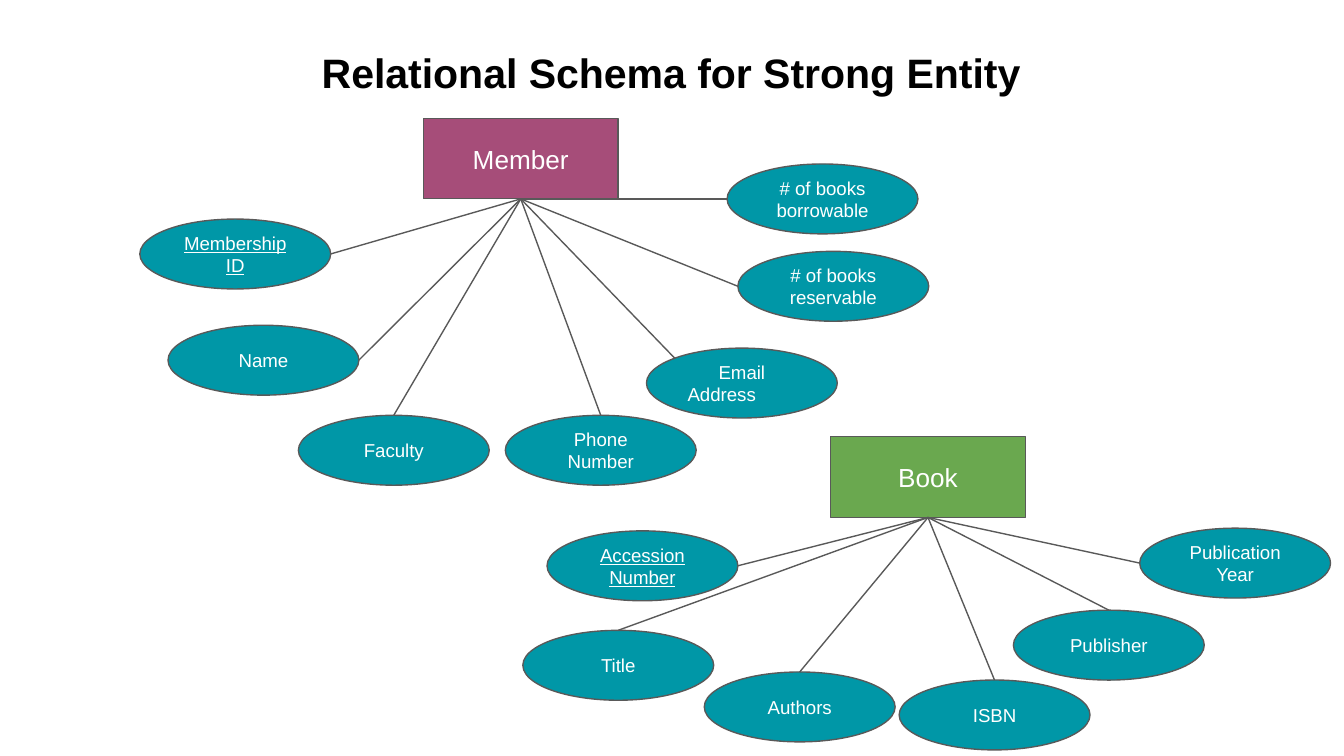
from lxml.etree import SubElement
from pptx import Presentation
from pptx.dml.color import RGBColor
from pptx.enum.shapes import MSO_CONNECTOR, MSO_SHAPE
from pptx.enum.text import MSO_ANCHOR, PP_ALIGN
from pptx.oxml.ns import qn
from pptx.util import Inches, Pt

BLACK = RGBColor(0x00, 0x00, 0x00)
WHITE = RGBColor(0xFF, 0xFF, 0xFF)
GRAY = RGBColor(0x59, 0x59, 0x59)
PLUM = RGBColor(0xA6, 0x4D, 0x79)
GREEN = RGBColor(0x6A, 0xA8, 0x4F)
TEAL = RGBColor(0x00, 0x97, 0xA7)

ENTITY_SIZE = (1.45, 0.6)
ATTRIBUTE_SIZE = (1.42, 0.52)
TOP, LEFT, RIGHT, TOP_LEFT = (0.5, 0), (0, 0.5), (1, 0.5), (0.15, 0.15)

MEMBER_ATTRIBUTES = [
    ("Membership ID", -2.11, 0.75, RIGHT, True),
    ("Name", -1.9, 1.54, RIGHT, False),
    ("Faculty", -0.93, 2.21, TOP, False),
    ("Phone Number", 0.61, 2.21, TOP, False),
    ("Email Address\t", 1.66, 1.71, TOP_LEFT, False),
    ("# of books\nreservable", 2.34, 0.99, LEFT, False),
    ("# of books\nborrowable", 2.26, 0.34, LEFT, False),
]
BOOK_ATTRIBUTES = [
    ("Accession\nNumber", -2.11, 0.7, RIGHT, True),
    ("Title", -2.29, 1.44, TOP, False),
    ("Authors", -0.94, 1.75, TOP, False),
    ("ISBN", 0.51, 1.81, TOP, False),
    ("Publisher", 1.36, 1.29, TOP, False),
    ("Publication\nYear", 2.3, 0.68, LEFT, False),
]


def write_text(shape, text, size=10, color=WHITE, bold=False, underline=False,
               anchor=MSO_ANCHOR.MIDDLE, spacing=None):
    """Fill a shape with centred, formatted text, one paragraph per line."""
    frame = shape.text_frame
    frame.word_wrap = True
    frame.vertical_anchor = anchor
    frame.margin_left = frame.margin_right = Inches(0.1)
    frame.margin_top = frame.margin_bottom = Inches(0.1)
    frame.text = text
    for para in frame.paragraphs:
        para.alignment = PP_ALIGN.CENTER
        para.line_spacing = spacing
        for span in para.runs:
            span.font.name = "Arial"
            span.font.size = Pt(size)
            span.font.color.rgb = color
            span.font.bold = bold
            span.font.underline = underline


def add_node(slide, kind, box, fill, text, **text_format):
    """Add a filled, outlined shape with its label."""
    node = slide.shapes.add_shape(kind, *map(Inches, box))
    node.shadow.inherit = False
    node.fill.solid()
    node.fill.fore_color.rgb = fill
    node.line.color.rgb = GRAY
    node.line.width = Pt(0.75)
    write_text(node, text, **text_format)
    return node


def add_link(slide, entity, end_x, end_y):
    """Draw a line from the bottom of an entity to a point."""
    link = slide.shapes.add_connector(
        MSO_CONNECTOR.STRAIGHT, 0, 0, Inches(end_x), Inches(end_y))
    link.begin_connect(entity, 2)
    link.line.color.rgb = GRAY
    link.line.width = Pt(0.75)
    SubElement(link._element.spPr, qn("a:effectLst"))


def add_entity(slide, left, top, name, fill, attributes):
    """Place an entity, its attributes around it and the lines between them."""
    entity = add_node(slide, MSO_SHAPE.RECTANGLE, (left, top, *ENTITY_SIZE),
                      fill, name, size=14)
    width, height = ATTRIBUTE_SIZE
    for label, across, down, _, is_key in attributes:
        box = (left + across, top + down, width, height)
        add_node(slide, MSO_SHAPE.OVAL, box, TEAL, label, underline=is_key)
    for _, across, down, (part_x, part_y), _ in attributes:
        add_link(slide, entity, left + across + part_x * width,
                 top + down + part_y * height)


def add_title(slide, box, text):
    """Place the slide title."""
    title = slide.shapes.add_textbox(*map(Inches, box))
    write_text(title, text, size=22, color=BLACK, bold=True,
               anchor=MSO_ANCHOR.TOP, spacing=1.15)


def main():
    """Build the slide and save the deck."""
    deck = Presentation()
    deck.slide_width = Inches(10)
    deck.slide_height = Inches(10 * 9 / 16)
    slide = deck.slides.add_slide(deck.slide_layouts[6])
    add_entity(slide, 3.15, 0.88, "Member", PLUM, MEMBER_ATTRIBUTES)
    add_entity(slide, 6.18, 3.25, "Book", GREEN, BOOK_ATTRIBUTES)
    add_title(slide, (2.07, 0.2, 5.85, 0.57), "Relational Schema for Strong Entity")
    deck.save("out.pptx")


if __name__ == "__main__":
    main()
